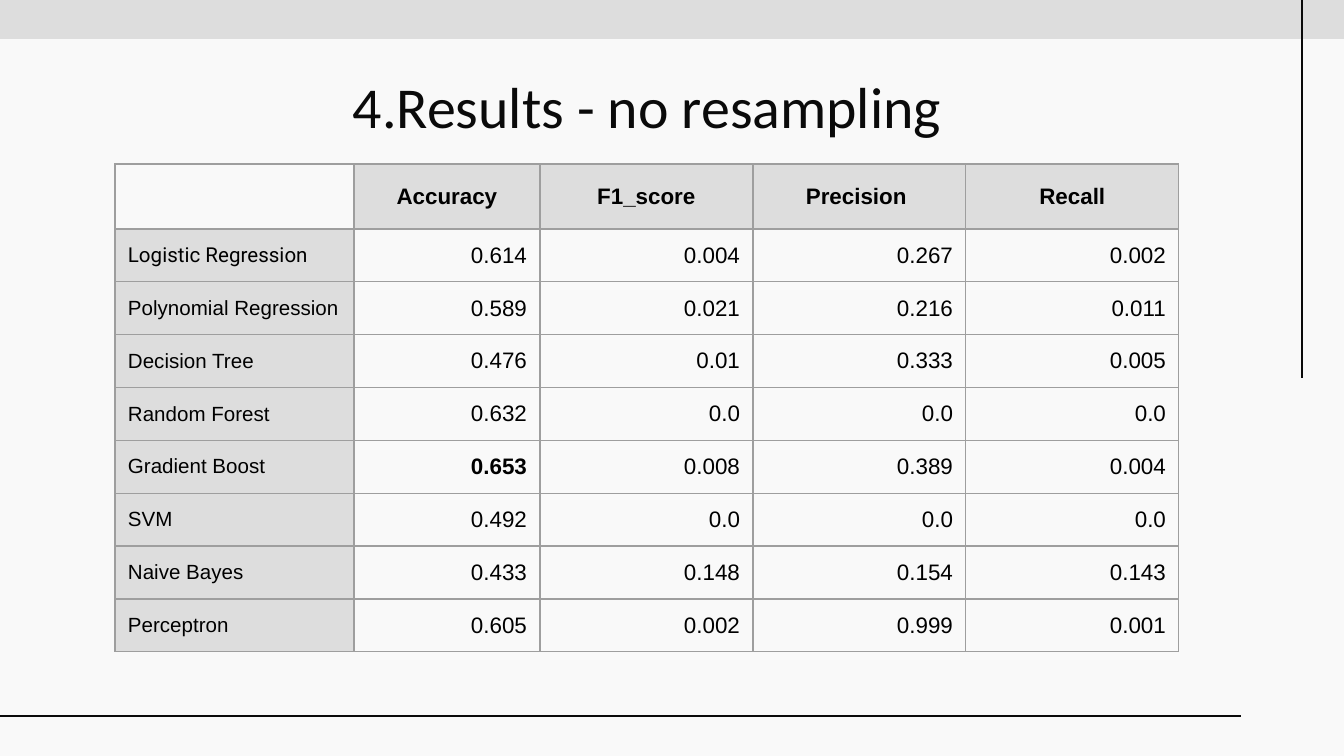
from dataclasses import dataclass

import pptx
import pptx.dml.color
import pptx.enum.shapes
import pptx.enum.text
import pptx.oxml
import pptx.oxml.ns
import pptx.util

ALIGN = pptx.enum.text.PP_ALIGN
ANCHOR = pptx.enum.text.MSO_ANCHOR
PX_PER_INCH = 134.4


@dataclass(frozen=True)
class Theme:
    background: str = "F9F9F9"
    band: str = "DDDDDD"
    ink: str = "0A0A0A"
    cell_text: str = "000000"
    border: str = "9E9E9E"
    title_size: int = 31
    value_size: int = 12
    label_size: int = 11
    line_width: float = 0.75


def px(n):
    return pptx.util.Emu(round(n * 914400 / PX_PER_INCH))


def rgb(color):
    return pptx.dml.color.RGBColor.from_string(color)


def write(tf, text, *, size, color, font="Arial", bold=False, align=ALIGN.LEFT):
    p = tf.paragraphs[0]
    p.alignment = align
    r = p.add_run()
    r.text = text
    r.font.size = pptx.util.Pt(size)
    r.font.name = font
    r.font.bold = bold
    r.font.color.rgb = rgb(color)


class SlideBuilder:
    def __init__(self, slide, theme):
        self.slide = slide
        self.theme = theme
        fill = slide.background.fill
        fill.solid()
        fill.fore_color.rgb = rgb(theme.background)

    def band(self, x, y, w, h):
        kind = pptx.enum.shapes.MSO_SHAPE.RECTANGLE
        sp = self.slide.shapes.add_shape(kind, px(x), px(y), px(w), px(h))
        sp.shadow.inherit = False
        sp.fill.solid()
        sp.fill.fore_color.rgb = rgb(self.theme.band)
        sp.line.fill.background()

    def line(self, x1, y1, x2, y2):
        kind = pptx.enum.shapes.MSO_CONNECTOR.STRAIGHT
        cx = self.slide.shapes.add_connector(kind, px(x1), px(y1), px(x2), px(y2))
        cx.line.color.rgb = rgb(self.theme.ink)
        cx.line.width = pptx.util.Pt(self.theme.line_width)
        effects = pptx.oxml.parse_xml(f"<a:effectLst {pptx.oxml.ns.nsdecls('a')}/>")
        cx._element.spPr.append(effects)

    def title(self, text, x, y, w, h):
        tf = self.slide.shapes.add_textbox(px(x), px(y), px(w), px(h)).text_frame
        tf.word_wrap = True
        tf.margin_left = tf.margin_right = tf.margin_top = tf.margin_bottom = px(13)
        write(tf, text, size=self.theme.title_size, color=self.theme.ink,
              font="Calibri", align=ALIGN.CENTER)

    def table(self, rows, x, y, widths, heights, bold_cells, label_fonts):
        t = self.theme
        table = self.slide.shapes.add_table(
            len(rows), len(widths), px(x), px(y), px(sum(widths)), px(sum(heights))).table
        table.first_row = table.horz_banding = False
        for column, w in zip(table.columns, widths):
            column.width = px(w)
        for row, h in zip(table.rows, heights):
            row.height = px(h)
        for i, row in enumerate(rows):
            for j, text in enumerate(row):
                cell = table.cell(i, j)
                self.cell_style(cell, shaded=(i == 0) != (j == 0), inset=13 if text else 0)
                if not text:
                    continue
                if i == 0:
                    look = dict(size=t.value_size, bold=True, align=ALIGN.CENTER)
                elif j == 0:
                    look = dict(size=t.label_size, font=label_fonts.get(text, "Arial"))
                else:
                    look = dict(size=t.value_size, bold=(i, j) in bold_cells,
                                align=ALIGN.RIGHT)
                write(cell.text_frame, text, color=t.cell_text, **look)

    def cell_style(self, cell, shaded, inset):
        cell.margin_left = cell.margin_right = px(inset)
        cell.margin_top = cell.margin_bottom = px(inset)
        cell.vertical_anchor = ANCHOR.MIDDLE
        # Borders come before the fill in the cell properties
        tc_pr = cell._tc.get_or_add_tcPr()
        width = pptx.util.Pt(self.theme.line_width)
        for side in ("lnL", "lnR", "lnT", "lnB"):
            tc_pr.append(pptx.oxml.parse_xml(
                f'<a:{side} {pptx.oxml.ns.nsdecls("a")} w="{width}"><a:solidFill>'
                f'<a:srgbClr val="{self.theme.border}"/></a:solidFill></a:{side}>'))
        if shaded:
            cell.fill.solid()
            cell.fill.fore_color.rgb = rgb(self.theme.band)
        else:
            cell.fill.background()


RESULTS = [
    ("", "Accuracy", "F1_score", "Precision ", "Recall"),
    ("Logistic Regression", "0.614", "0.004", "0.267", "0.002"),
    ("Polynomial Regression", "0.589", "0.021", "0.216", "0.011"),
    ("Decision Tree", "0.476", "0.01", "0.333", "0.005"),
    ("Random Forest", "0.632", "0.0", "0.0", "0.0"),
    ("Gradient Boost", "0.653", "0.008", "0.389", "0.004"),
    ("SVM", "0.492", "0.0", "0.0", "0.0"),
    ("Naive Bayes", "0.433", "0.148", "0.154", "0.143"),
    ("Perceptron", "0.605", "0.002", "0.999", "0.001"),
]


def main():
    prs = pptx.Presentation()
    prs.slide_width, prs.slide_height = px(1344), px(756)
    slide = prs.slides.add_slide(prs.slide_layouts[6])
    builder = SlideBuilder(slide, Theme())

    # Frame: top band and two thin rules
    builder.band(0, 0, 1344, 39)
    builder.line(1302, 0, 1302, 378)
    builder.line(1241, 716, 0, 716)

    # Title
    builder.title("4.Results - no resampling", 115, 58, 1064, 81)

    # Scores by model, with the best accuracy in bold
    builder.table(RESULTS, 115, 164, widths=[239, 186] + [213] * 3,
                  heights=[65] + [52] * (len(RESULTS) - 1), bold_cells={(5, 1)},
                  label_fonts={"Logistic Regression": "Roboto"})

    prs.save("out.pptx")


if __name__ == "__main__":
    main()
